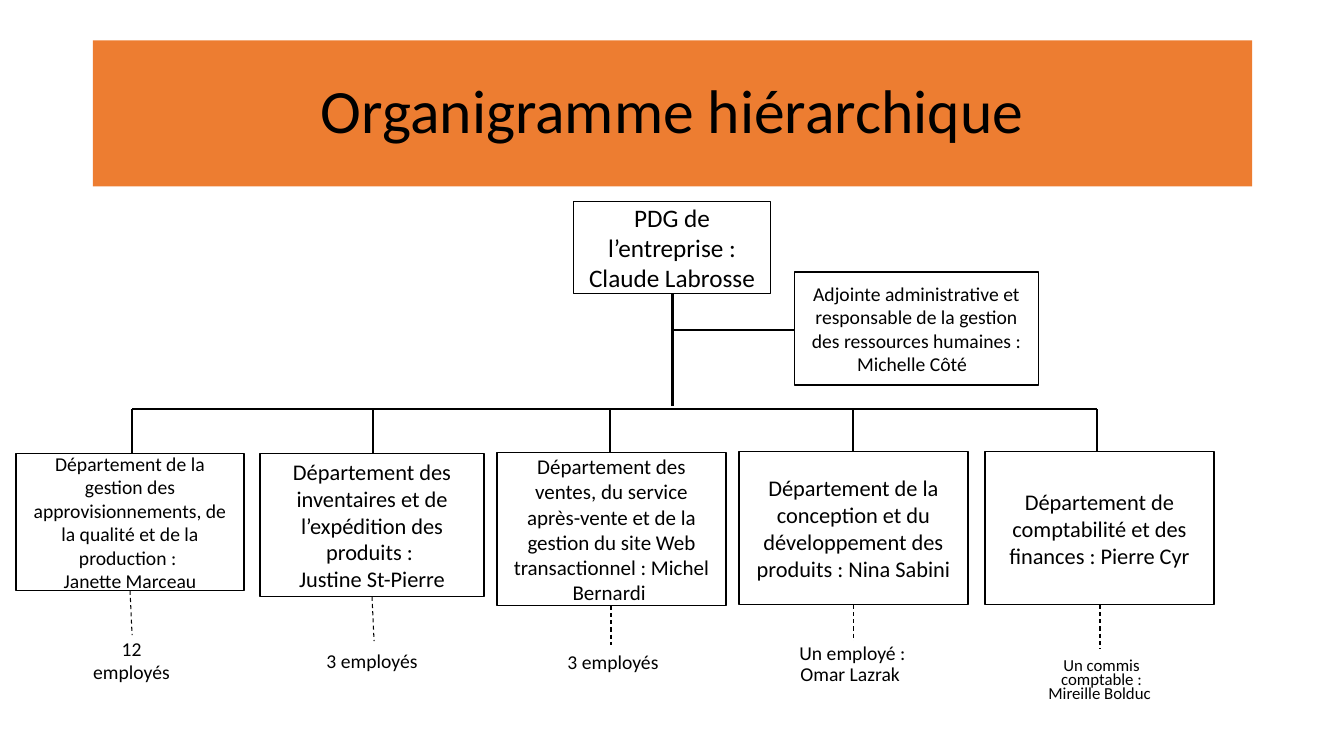
import dataclasses

import pptx
import pptx.dml.color
import pptx.enum.dml
import pptx.enum.shapes
import pptx.enum.text
import pptx.oxml.ns
import pptx.util
from lxml import etree

Inches = pptx.util.Inches
Pt = pptx.util.Pt


@dataclasses.dataclass(frozen=True)
class Theme:
    font: str = "Calibri"
    ink: str = "000000"
    paper: str = "FFFFFF"
    banner: str = "ED7D31"
    title: float = 44
    lead: float = 18
    large: float = 16
    medium: float = 15
    body: float = 14
    small: float = 12
    outline: float = 1
    link: float = 1.5
    staff_link: float = 0.75


@dataclasses.dataclass(frozen=True)
class Department:
    box: tuple
    lines: tuple
    size: float
    drop_x: float
    staff_link: tuple
    staff_box: tuple
    staff: str
    staff_size: float
    staff_spacing: float = 0.9
    staff_before: float = 10


THEME = Theme()
BUS_Y = 4.06
STAFF_LINK_LENGTH = 0.44

DEPARTMENTS = (
    Department((0.16, 4.5, 2.26, 1.36),
               ("Département de la gestion des approvisionnements, "
                "de la qualité et de la production : ", "Janette Marceau"),
               THEME.body, 1.31, (1.29, 1.31),
               (0.72, 6.34, 1.17, 0.42), "12 employés", THEME.body, 1, 0),
    Department((2.58, 4.5, 2.22, 1.42),
               ("Département des inventaires et de l’expédition des produits : ",
                "Justine St-Pierre"),
               THEME.large, 3.7, (3.69, 3.71),
               (2.95, 6.41, 1.48, 0.32), "3 employés", THEME.body),
    Department((4.93, 4.49, 2.27, 1.52),
               ("Département des ventes, du service après-vente et de la gestion "
                "du site Web transactionnel : Michel Bernardi ",),
               THEME.medium, 6.05, (6.06, 6.06),
               (5.32, 6.41, 1.52, 0.34), "3 employés", THEME.body),
    Department((7.33, 4.48, 2.27, 1.52),
               ("Département de la conception et du développement des produits : "
                "Nina Sabini",),
               THEME.large, 8.46, (8.47, 8.47),
               (7.72, 6.37, 1.47, 0.44), "Un employé : Omar Lazrak ", THEME.body),
    Department((9.77, 4.48, 2.27, 1.52),
               ("Département de comptabilité et des finances : Pierre Cyr",),
               THEME.large, 10.88, (10.91, 10.91),
               (10.15, 6.54, 1.55, 0.44), "Un commis comptable : Mireille Bolduc ",
               THEME.small, 0.7),
)


def rgb(value):
    return pptx.dml.color.RGBColor.from_string(value)


def write(frame, lines, size, spacing=1, before=0):
    frame.word_wrap = True
    frame.auto_size = pptx.enum.text.MSO_AUTO_SIZE.NONE
    frame.vertical_anchor = pptx.enum.text.MSO_ANCHOR.MIDDLE
    for index, line in enumerate(lines):
        paragraph = frame.add_paragraph() if index else frame.paragraphs[0]
        paragraph.alignment = pptx.enum.text.PP_ALIGN.CENTER
        paragraph.line_spacing = spacing
        paragraph.space_before = Pt(before)
        run = paragraph.add_run()
        run.text = line
        run.font.name = THEME.font
        run.font.size = Pt(size)
        run.font.color.rgb = rgb(THEME.ink)


def add_title(slide, text):
    title = slide.shapes.title
    title.left, title.top = Inches(0.92), Inches(0.4)
    title.width, title.height = Inches(11.5), Inches(1.45)
    title.fill.solid()
    title.fill.fore_color.rgb = rgb(THEME.banner)
    write(title.text_frame, [text], THEME.title, 0.9)


def add_box(slide, place, lines, size, outline=THEME.ink, spacing=1, before=0):
    box = slide.shapes.add_shape(pptx.enum.shapes.MSO_SHAPE.RECTANGLE,
                                 *map(Inches, place))
    box.shadow.inherit = False
    box.fill.solid()
    box.fill.fore_color.rgb = rgb(THEME.paper)
    box.line.color.rgb = rgb(outline)
    box.line.width = Pt(THEME.outline)
    write(box.text_frame, lines, size, spacing, before)


def add_link(slide, start, end, width=THEME.link, dashed=False):
    link = slide.shapes.add_connector(pptx.enum.shapes.MSO_CONNECTOR.STRAIGHT,
                                      *map(Inches, start + end))
    link.line.color.rgb = rgb(THEME.ink)
    link.line.width = Pt(width)
    if dashed:
        link.line.dash_style = pptx.enum.dml.MSO_LINE.DASH
    etree.SubElement(link._element.spPr, pptx.oxml.ns.qn("a:effectLst"))


def add_management(slide):
    add_link(slide, (6.67, 2.91), (6.67, 4.03))
    add_link(slide, (6.67, 3.27), (7.88, 3.27))
    add_box(slide, (5.69, 2, 1.95, 0.91),
            ["PDG de l’entreprise : Claude Labrosse"], THEME.lead)
    add_box(slide, (7.88, 2.7, 2.42, 1.12),
            ["Adjointe administrative et responsable de la gestion "
             "des ressources humaines : Michelle Côté  "], THEME.body)


def add_department(slide, department):
    top, height = department.box[1], department.box[3]
    bottom = top + height
    link_start, link_end = department.staff_link
    add_link(slide, (department.drop_x, BUS_Y), (department.drop_x, top))
    add_link(slide, (link_start, bottom), (link_end, bottom + STAFF_LINK_LENGTH),
             THEME.staff_link, True)
    add_box(slide, department.box, department.lines, department.size)
    add_box(slide, department.staff_box, [department.staff], department.staff_size,
            THEME.paper, department.staff_spacing, department.staff_before)


def main():
    deck = pptx.Presentation()
    deck.slide_width, deck.slide_height = Inches(13.33), Inches(7.5)
    slide = deck.slides.add_slide(deck.slide_layouts.get_by_name("Title Only"))
    add_title(slide, "Organigramme hiérarchique")
    add_management(slide)
    add_link(slide, (DEPARTMENTS[0].drop_x, BUS_Y), (DEPARTMENTS[-1].drop_x, BUS_Y))
    for department in DEPARTMENTS:
        add_department(slide, department)
    deck.save("out.pptx")


main()
